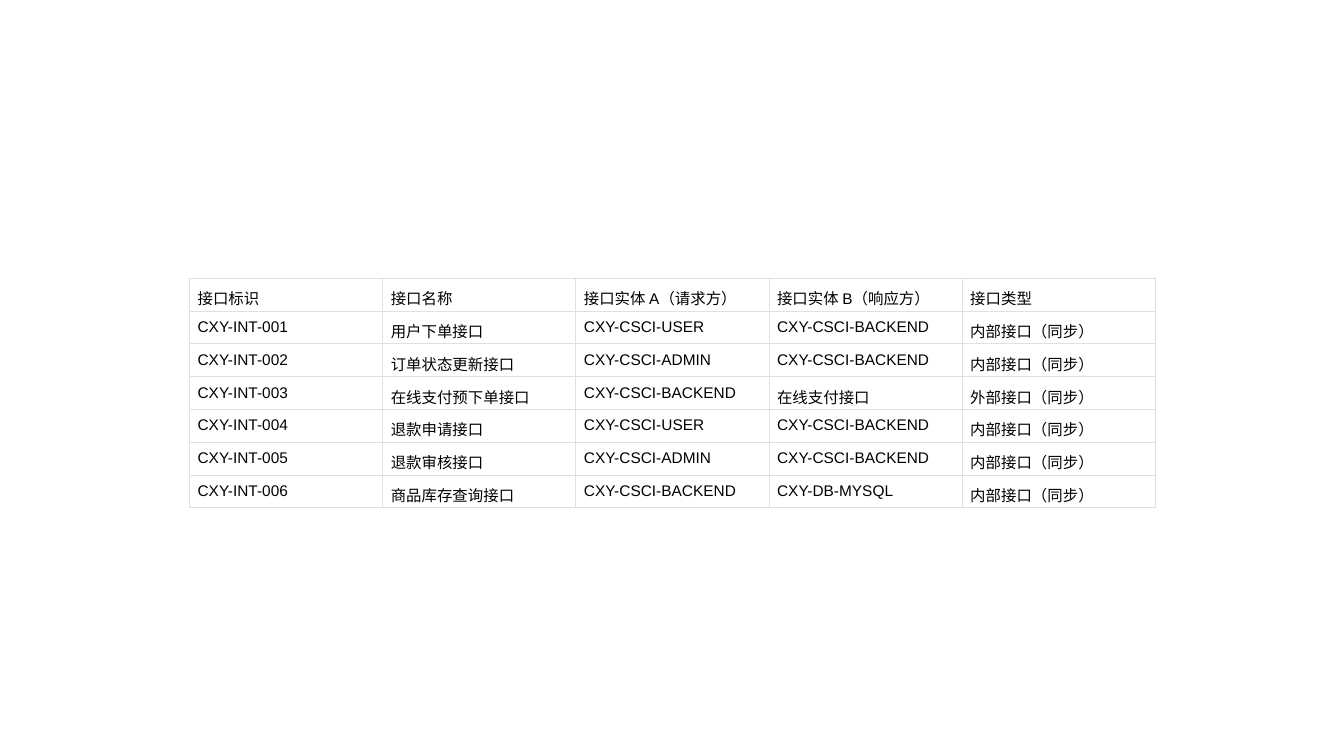
"""Build a slide with one table of system interfaces."""
from itertools import groupby

from lxml import etree
from pptx import Presentation
from pptx import util as u
from pptx.dml.color import RGBColor
from pptx.enum import text
from pptx.oxml import ns

HEAD = ["接口标识", "接口名称", "接口实体 A（请求方）", "接口实体 B（响应方）", "接口类型"]
USER, ADMIN, BACK = "CXY-CSCI-USER", "CXY-CSCI-ADMIN", "CXY-CSCI-BACKEND"
INNER, OUTER = "内部接口（同步）", "外部接口（同步）"
ROWS = [
    HEAD,
    ["CXY-INT-001", "用户下单接口", USER, BACK, INNER],
    ["CXY-INT-002", "订单状态更新接口", ADMIN, BACK, INNER],
    ["CXY-INT-003", "在线支付预下单接口", BACK, "在线支付接口", OUTER],
    ["CXY-INT-004", "退款申请接口", USER, BACK, INNER],
    ["CXY-INT-005", "退款审核接口", ADMIN, BACK, INNER],
    ["CXY-INT-006", "商品库存查询接口", BACK, "CXY-DB-MYSQL", INNER],
]
COLORS = {"text": "000000", "border": "DEE0E3"}
FONTS = {True: "Arial", False: "Noto Sans CJK SC"}
LEFT, TOP, WIDTH, ROW = 1.88, 2.76, 9.58, 0.32
CELL = {
    "margin_left": u.Inches(0.08),
    "margin_top": u.Inches(0.04),
    "margin_right": u.Inches(0.08),
    "margin_bottom": u.Inches(0.02),
    "vertical_anchor": text.MSO_ANCHOR.TOP,
}
PARA = {"line_spacing": 1.2, "space_after": u.Pt(6), "alignment": text.PP_ALIGN.LEFT}
PLAIN = {"first_row": False, "horz_banding": False}


def apply(item, values):
    for name, value in values.items():
        setattr(item, name, value)


def is_latin(char):
    return char.isascii() and char != " "


def add_runs(para, words):
    for latin, chars in groupby(words, is_latin):
        run = para.add_run()
        run.text = "".join(chars)
        apply(run.font, {"size": u.Pt(11), "bold": False, "name": FONTS[latin]})
        run.font.color.rgb = RGBColor.from_string(COLORS["text"])
        east = etree.SubElement(run.font._element, ns.qn("a:ea"))
        east.set("typeface", FONTS[latin])


def add_border(cell):
    props = cell._tc.get_or_add_tcPr()
    for spot, side in enumerate(("lnL", "lnR", "lnT", "lnB")):
        line = etree.Element(ns.qn(f"a:{side}"), w=str(u.Pt(0.75)))
        fill = etree.SubElement(line, ns.qn("a:solidFill"))
        etree.SubElement(fill, ns.qn("a:srgbClr"), val=COLORS["border"])
        props.insert(spot, line)


def main():
    deck = Presentation()
    apply(deck, {"slide_width": u.Inches(13.33), "slide_height": u.Inches(7.5)})
    slide = deck.slides.add_slide(deck.slide_layouts[6])
    box = [u.Inches(n) for n in (LEFT, TOP, WIDTH, ROW * len(ROWS))]
    table = slide.shapes.add_table(len(ROWS), len(HEAD), *box).table
    apply(table, PLAIN)
    for r, row in enumerate(ROWS):
        for c, words in enumerate(row):
            cell = table.cell(r, c)
            apply(cell, CELL)
            cell.fill.background()
            add_border(cell)
            para = cell.text_frame.paragraphs[0]
            apply(para, PARA)
            add_runs(para, words)
    deck.save("out.pptx")


if __name__ == "__main__":
    main()
